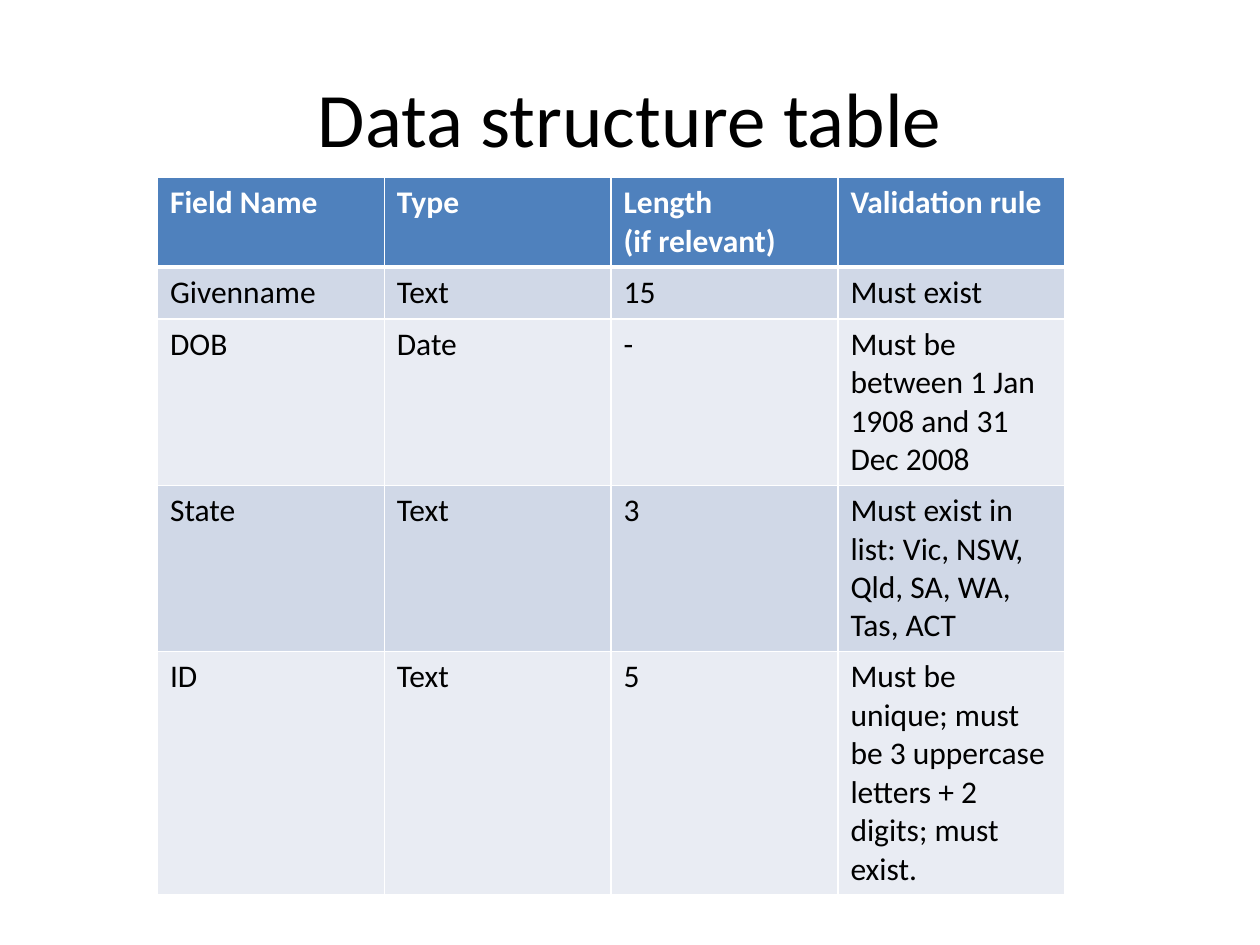
from dataclasses import dataclass

from pptx import Presentation
from pptx.dml.color import RGBColor as RGB
from pptx.enum.text import MSO_ANCHOR, PP_ALIGN
from pptx.oxml import parse_xml
from pptx.oxml.ns import nsdecls
from pptx.util import Inches, Pt


@dataclass(frozen=True)
class Theme:
    font: str = "Calibri"
    title_size: float = 44
    cell_size: float = 18
    text: str = "000000"
    header_text: str = "FFFFFF"
    header_fill: str = "4F81BD"
    bands: tuple = ("D0D8E7", "E9ECF3")
    border: str = "FFFFFF"
    border_width: float = 0.96
    header_rule: float = 3


class SlideBuilder:
    def __init__(self, slide, theme):
        self.slide = slide
        self.theme = theme

    def add_run(self, p, text, size, color, bold=False):
        r = p.add_run()
        r.text = text
        r.font.name = self.theme.font
        r.font.size = Pt(size)
        r.font.bold = bold
        r.font.color.rgb = RGB.from_string(color)

    def title(self, text, left, top, width, height):
        sp = self.slide.shapes.title
        sp.left, sp.top = Inches(left), Inches(top)
        sp.width, sp.height = Inches(width), Inches(height)
        tf = sp.text_frame
        tf.vertical_anchor = MSO_ANCHOR.MIDDLE
        p = tf.paragraphs[0]
        p.alignment = PP_ALIGN.CENTER
        self.add_run(p, text, self.theme.title_size, self.theme.text)

    def borders(self, cell, top, bottom):
        side = self.theme.border_width
        tc_pr = cell._tc.get_or_add_tcPr()
        for tag, width in (("lnL", side), ("lnR", side), ("lnT", top), ("lnB", bottom)):
            tc_pr.append(parse_xml(
                f'<a:{tag} {nsdecls("a")} w="{Pt(width)}"><a:solidFill>'
                f'<a:srgbClr val="{self.theme.border}"/></a:solidFill></a:{tag}>'))

    def cell(self, cell, text, row):
        th = self.theme
        header = row == 0
        # Heavy rule between the header and the first body row
        self.borders(cell,
                     th.header_rule if row == 1 else th.border_width,
                     th.header_rule if header else th.border_width)
        cell.fill.solid()
        fill = th.header_fill if header else th.bands[(row - 1) % 2]
        cell.fill.fore_color.rgb = RGB.from_string(fill)
        p = cell.text_frame.paragraphs[0]
        for i, line in enumerate(text.split("\n")):
            if i:
                p.add_line_break()
            self.add_run(p, line, th.cell_size,
                         th.header_text if header else th.text, header)

    def table(self, rows, left, top, col_width, row_heights):
        n_cols = len(rows[0])
        frame = self.slide.shapes.add_table(
            len(rows), n_cols, Inches(left), Inches(top),
            Inches(col_width * n_cols), Inches(sum(row_heights)))
        table = frame.table
        for col in table.columns:
            col.width = Inches(col_width)
        for i, (values, height) in enumerate(zip(rows, row_heights)):
            table.rows[i].height = Inches(height)
            for j, text in enumerate(values):
                self.cell(table.cell(i, j), text, i)


FIELDS = [
    ("Field Name", "Type", "Length\n(if relevant)", "Validation rule"),
    ("Givenname", "Text", "15", "Must exist"),
    ("DOB", "Date", "-", "Must be between 1 Jan 1908 and 31 Dec 2008"),
    ("State", "Text", "3", "Must exist in list: Vic, NSW, Qld, SA, WA, Tas, ACT"),
    ("ID", "Text", "5",
     "Must be unique; must be 3 uppercase letters + 2 digits; must exist."),
]


def main():
    prs = Presentation()
    prs.slide_width, prs.slide_height = Inches(10), Inches(7.5)
    title_only = prs.slide_layouts[5]
    builder = SlideBuilder(prs.slides.add_slide(title_only), Theme())

    # Heading
    builder.title("Data structure table", 0.5, 0.3, 9, 1.25)
    # Field definitions
    builder.table(FIELDS, 1.25, 1.41, 1.8, (0.7, 0.41, 1.3, 1.3, 1.9))

    prs.save("out.pptx")


if __name__ == "__main__":
    main()
